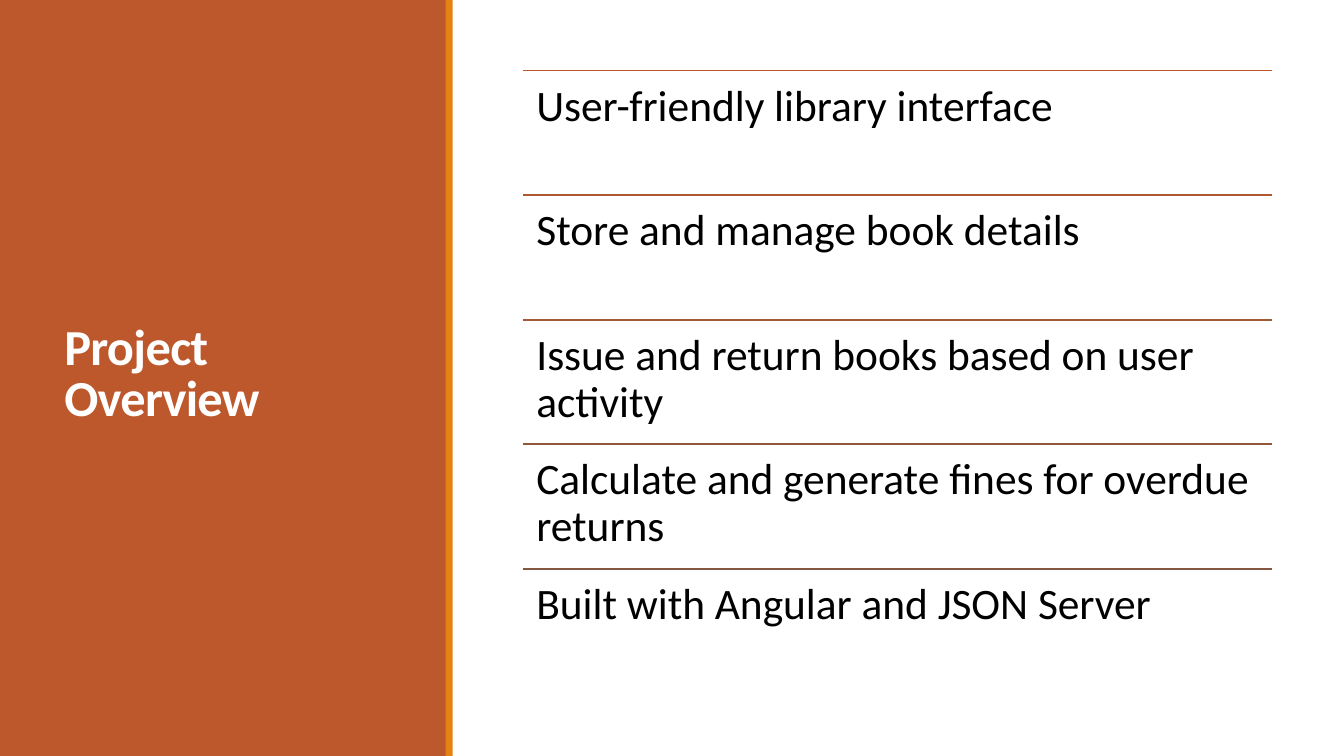
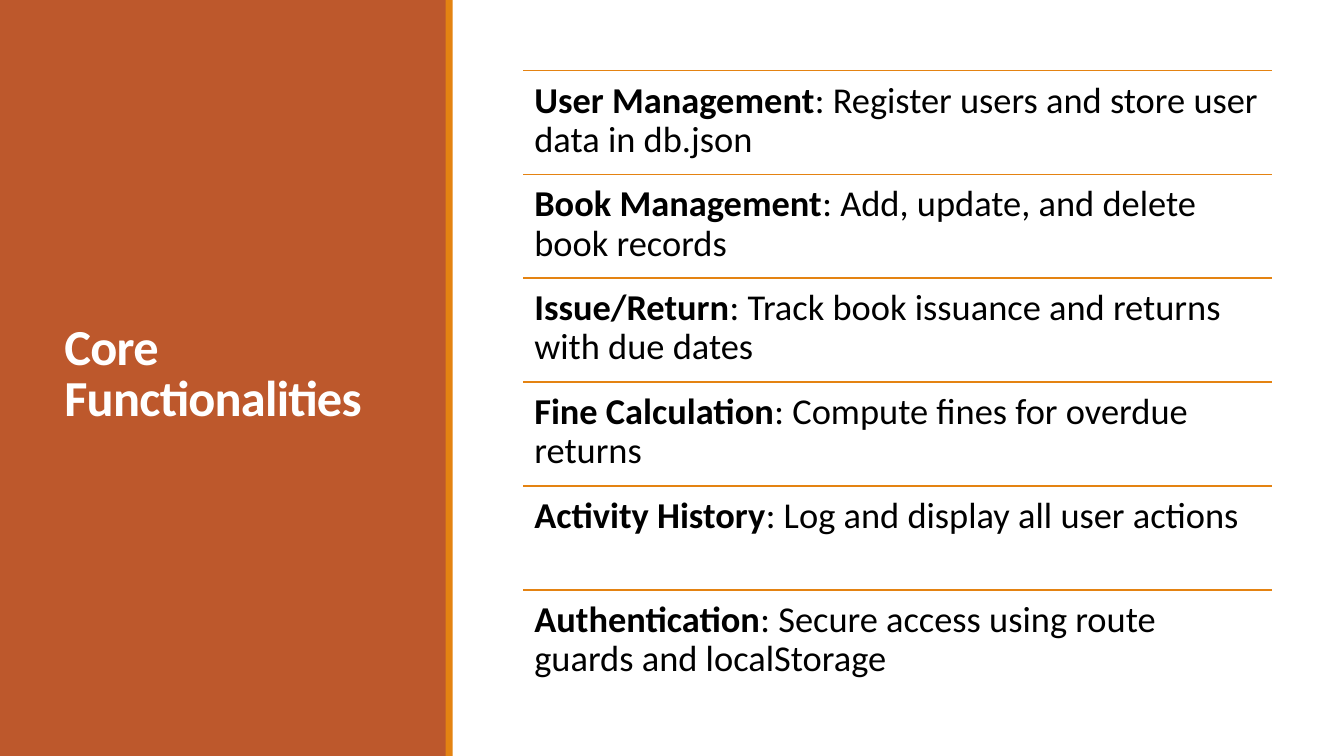
import pptx
import pptx.util
import pptx.dml.color
import pptx.enum.shapes
import pptx.enum.text
import pptx.oxml.ns
import lxml.etree

Inches = pptx.util.Inches
Pt = pptx.util.Pt

FONT = "Calibri"
COLORS = {
    "panel": "BD582C",
    "accent": "E48312",
    "title": "FFFFFF",
    "body": "000000",
    "fade_1": "AE5832",
    "fade_2": "A05837",
    "fade_3": "93573C",
    "fade_4": "865640",
}

TOPICS = [
    {
        "title": "Project Overview",
        "size": 31,
        "inset": 0.13,
        "rules": ["panel", "fade_1", "fade_2", "fade_3", "fade_4"],
        "entries": [
            ("", "User-friendly library interface"),
            ("", "Store and manage book details"),
            ("", "Issue and return books based on user activity"),
            ("", "Calculate and generate fines for overdue returns"),
            ("", "Built with Angular and JSON Server"),
        ],
    },
    {
        "title": "Core Functionalities",
        "size": 26,
        "inset": 0.11,
        "rules": ["accent"] * 6,
        "entries": [
            ("User Management", ": Register users and store user data in db.json"),
            ("Book Management", ": Add, update, and delete book records"),
            ("Issue/Return", ": Track book issuance and returns with due dates"),
            ("Fine Calculation", ": Compute fines for overdue returns"),
            ("Activity History", ": Log and display all user actions"),
            ("Authentication", ": Secure access using route guards and localStorage"),
        ],
    },
]

LIST_LEFT, LIST_TOP, LIST_WIDTH, LIST_HEIGHT = 5.19, 0.7, 7.43, 6.18


def rgb(name):
    return pptx.dml.color.RGBColor.from_string(COLORS[name])


def add_band(slide, left, width, color):
    band = slide.shapes.add_shape(
        pptx.enum.shapes.MSO_SHAPE.RECTANGLE,
        Inches(left), Inches(0), Inches(width), Inches(7.5))
    band.shadow.inherit = False
    band.fill.solid()
    band.fill.fore_color.rgb = rgb(color)
    band.line.fill.background()


def add_rule(slide, y, color):
    rule = slide.shapes.add_connector(
        pptx.enum.shapes.MSO_CONNECTOR.STRAIGHT,
        Inches(LIST_LEFT), Inches(y), Inches(LIST_LEFT + LIST_WIDTH), Inches(y))
    rule.line.color.rgb = rgb(color)
    rule.line.width = Pt(1.25)
    lxml.etree.SubElement(rule._element.spPr, pptx.oxml.ns.qn("a:effectLst"))


def add_text(slide, box, pieces, size, color, spacing, insets, anchor):
    frame = slide.shapes.add_textbox(*map(Inches, box)).text_frame
    frame.word_wrap = True
    frame.vertical_anchor = anchor
    frame.margin_left = frame.margin_right = Inches(insets[0])
    frame.margin_top = frame.margin_bottom = Inches(insets[1])
    paragraph = frame.paragraphs[0]
    paragraph.line_spacing = spacing
    for text, bold in pieces:
        if text:
            run = paragraph.add_run()
            run.text = text
            run.font.name = FONT
            run.font.size = Pt(size)
            run.font.bold = bold
            run.font.color.rgb = rgb(color)
    return paragraph


def add_title(slide, title):
    heading = add_text(slide, (0.54, 0.57, 3.37, 6.31), [(title, True)], 36,
                       "title", 0.85, (0.1, 0.05),
                       pptx.enum.text.MSO_ANCHOR.MIDDLE)
    for run in heading.runs:
        run._r.get_or_add_rPr().set("spc", "-50")


def add_entries(slide, topic):
    row_height = LIST_HEIGHT / len(topic["entries"])
    for row, (label, detail) in enumerate(topic["entries"]):
        top = LIST_TOP + row * row_height
        add_rule(slide, top, topic["rules"][row])
        add_text(slide, (LIST_LEFT, top, LIST_WIDTH, row_height),
                 [(label, True), (detail, False)], topic["size"], "body", 0.9,
                 (topic["inset"], topic["inset"]),
                 pptx.enum.text.MSO_ANCHOR.TOP)


def main():
    deck = pptx.Presentation()
    deck.slide_width = Inches(13.33)
    deck.slide_height = Inches(7.5)
    for topic in TOPICS:
        slide = deck.slides.add_slide(deck.slide_layouts[6])
        add_band(slide, 0, 4.43, "panel")
        add_title(slide, topic["title"])
        add_band(slide, 4.42, 0.07, "accent")
        add_entries(slide, topic)
    deck.save("out.pptx")


if __name__ == "__main__":
    main()
